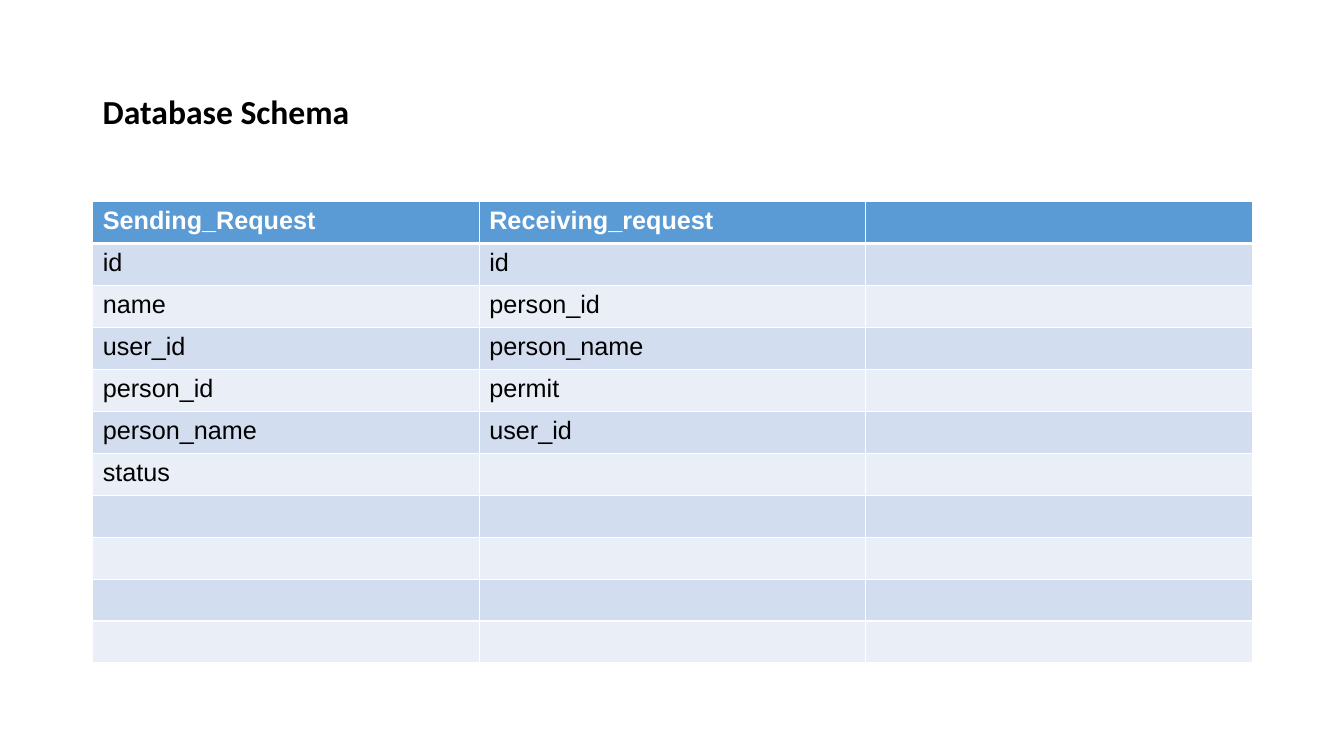
import dataclasses

import lxml.etree
import pptx
import pptx.dml.color
import pptx.enum.text
import pptx.oxml.ns
import pptx.util


@dataclasses.dataclass(frozen=True)
class Theme:
    title_font: str = "Calibri"
    body_font: str = "Arial"
    title_size: int = 24
    body_size: int = 18
    ink: str = "000000"
    paper: str = "FFFFFF"
    header: str = "5B9BD5"
    bands: tuple = ("D2DEEF", "EAEFF7")
    rule: int = 1
    header_rule: int = 3


class SlideBuilder:
    def __init__(self, slide, theme):
        self.slide = slide
        self.theme = theme

    def style(self, paragraph, font, size, color, bold):
        for run in paragraph.runs:
            run.font.name = font
            run.font.size = pptx.util.Pt(size)
            run.font.bold = bold
            run.font.color.rgb = pptx.dml.color.RGBColor.from_string(color)

    def title(self, wording, *box):
        frame = self.slide.shapes.add_textbox(*map(pptx.util.Inches, box)).text_frame
        frame.word_wrap = True
        frame.vertical_anchor = pptx.enum.text.MSO_ANCHOR.MIDDLE
        frame.text = wording
        heading = frame.paragraphs[0]
        heading.line_spacing = 0.9
        self.style(heading, self.theme.title_font, self.theme.title_size, self.theme.ink, True)

    def border(self, cell, side, width):
        qn = pptx.oxml.ns.qn
        properties = cell._tc.get_or_add_tcPr()
        line = lxml.etree.SubElement(properties, qn(f"a:ln{side}"), w=str(pptx.util.Pt(width)))
        fill = lxml.etree.SubElement(line, qn("a:solidFill"))
        lxml.etree.SubElement(fill, qn("a:srgbClr"), val=self.theme.paper)

    def cell(self, cell, wording, row):
        theme = self.theme
        is_header = row == 0
        cell.text = wording
        color = theme.paper if is_header else theme.ink
        self.style(cell.text_frame.paragraphs[0], theme.body_font, theme.body_size, color, is_header)
        for side in "LRTB":
            under_header = (row, side) in ((0, "B"), (1, "T"))
            self.border(cell, side, theme.header_rule if under_header else theme.rule)
        fill = theme.header if is_header else theme.bands[(row - 1) % 2]
        cell.fill.solid()
        cell.fill.fore_color.rgb = pptx.dml.color.RGBColor.from_string(fill)

    def table(self, columns, row_count, *box):
        frame = self.slide.shapes.add_table(row_count, len(columns), *map(pptx.util.Inches, box))
        for column, entries in enumerate(columns):
            for row in range(row_count):
                wording = entries[row] if row < len(entries) else ""
                self.cell(frame.table.cell(row, column), wording, row)


def main():
    presentation = pptx.Presentation()
    presentation.slide_width = pptx.util.Inches(13.33)
    presentation.slide_height = pptx.util.Inches(7.5)
    slide = presentation.slides.add_slide(presentation.slide_layouts[6])
    builder = SlideBuilder(slide, Theme())
    builder.title("Database Schema", 0.92, 0.4, 11.5, 1.45)
    sending = ("Sending_Request", "id", "name", "user_id", "person_id", "person_name", "status")
    receiving = ("Receiving_request", "id", "person_id", "person_name", "permit", "user_id")
    builder.table((sending, receiving, ()), 11, 0.92, 2, 11.5, 4.58)
    presentation.save("out.pptx")


if __name__ == "__main__":
    main()
